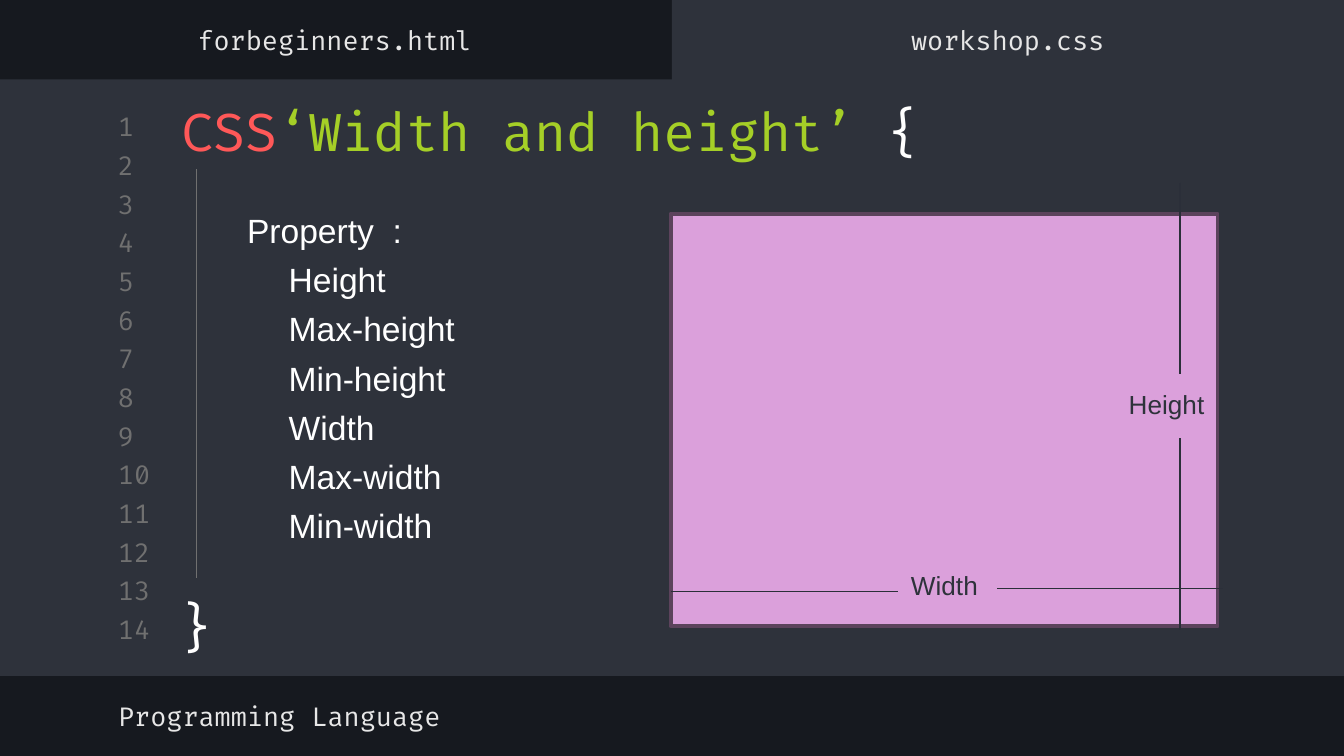
"""Build the CSS width and height slide in a code editor style."""
from dataclasses import dataclass

from lxml.etree import SubElement
from pptx import Presentation
from pptx.dml.color import RGBColor as RGB
from pptx.enum.shapes import MSO_CONNECTOR as LINE, MSO_SHAPE as SHAPE
from pptx.enum.text import MSO_ANCHOR as ANCHOR, PP_ALIGN as ALIGN
from pptx.oxml.ns import qn
from pptx.util import Inches, Pt


@dataclass(frozen=True)
class Theme:
    back: RGB = RGB.from_string("16191F")
    panel: RGB = RGB.from_string("2E323B")
    gray: RGB = RGB.from_string("707070")
    light: RGB = RGB.from_string("E7E7E7")
    white: RGB = RGB.from_string("FFFFFF")
    red: RGB = RGB.from_string("FF5858")
    green: RGB = RGB.from_string("A5CF27")
    pink: RGB = RGB.from_string("DBA0DB")
    plum: RGB = RGB.from_string("5C435C")
    ink: RGB = RGB.from_string("2B2F39")
    code: str = "Fira Code"
    sans: str = "Arial"
    small: Pt = Pt(14)
    body: Pt = Pt(18)
    big: Pt = Pt(28)


theme = Theme()
deck = Presentation()
deck.slide_width, deck.slide_height = Inches(10), Inches(10 * 9 / 16)
slide = deck.slides.add_slide(deck.slide_layouts[6])
slide.background.fill.solid()
slide.background.fill.fore_color.rgb = theme.back


def add_text(box, lines, font, size, color, anchor=ANCHOR.MIDDLE, align=ALIGN.LEFT, pad=0.1, wrap=True):
    frame = slide.shapes.add_textbox(*map(Inches, box)).text_frame
    frame.word_wrap, frame.vertical_anchor = wrap, anchor
    frame.margin_left = frame.margin_right = Inches(0.1)
    frame.margin_top = frame.margin_bottom = Inches(pad)
    frame.text = lines
    for para in frame.paragraphs:
        para.alignment = align
        para.font.name, para.font.size = font, size
        para.font.color.rgb = color
    return frame


def add_line(x1, y1, x2, y2, color):
    line = slide.shapes.add_connector(LINE.STRAIGHT, *map(Inches, (x1, y1, x2, y2)))
    line.line.color.rgb, line.line.width = color, Pt(0.75)
    SubElement(line._element.spPr, qn("a:effectLst"))


for box, fill, edge in (
    ((0, 0.59, 10, 4.44), theme.panel, None),
    ((5, 0, 5, 0.69), theme.panel, None),
    ((4.99, 1.59, 4.07, 3.07), theme.pink, theme.plum),
):
    rect = slide.shapes.add_shape(SHAPE.RECTANGLE, *map(Inches, box))
    rect.shadow.inherit = False
    rect.fill.solid()
    rect.fill.fore_color.rgb = fill
    if edge:
        rect.line.color.rgb, rect.line.width = edge, Pt(2)
    else:
        rect.line.fill.background()

for row in range(14):
    add_text((0.78, 0.82 + row * 3.74 / 13, 0.47, 0.24), str(row + 1), theme.code, theme.small, theme.gray)

title = add_text((1.25, 0.64, 7.97, 0.59), "", theme.code, theme.big, theme.white, ANCHOR.TOP)
for words, color in (("CSS", theme.red), ("‘Width and height’ ", theme.green), ("{", theme.white)):
    run = title.paragraphs[0].add_run()
    run.text, run.font.color.rgb = words, color

props = "Property  :\nHeight\nMax-height\nMin-height\nWidth\nMax-width\nMin-width"
body = add_text((1.74, 1.52, 8.17, 2.88), props, theme.sans, theme.body, theme.white, ANCHOR.TOP, pad=0.04)
for para in body.paragraphs[1:]:
    para.space_before = Pt(4.8)
    para._p.get_or_add_pPr().set("marL", str(Inches(0.31)))

add_text((0.78, 5.13, 5.32, 0.39), "Programming Language", theme.code, theme.small, theme.light)
for left, name in ((-0.01, "forbeginners.html"), (5, "workshop.css")):
    add_text((left, 0.1, 5, 0.39), name, theme.code, theme.small, theme.light, align=ALIGN.CENTER)

add_text((1.19, 4.32, 0.55, 0.67), "}", theme.code, theme.big, theme.white, ANCHOR.TOP, ALIGN.CENTER)
add_line(1.46, 1.26, 1.46, 4.3, theme.gray)

for box, name in (((6.68, 4.19, 0.7, 0.34), "Width"), ((8.3, 2.84, 0.77, 0.34), "Height")):
    add_text(box, name, theme.sans, theme.small, theme.panel, ANCHOR.TOP, pad=0.05, wrap=False)
for ends in ((4.99, 4.4, 6.68, 4.4), (7.42, 4.38, 9.1, 4.38), (8.78, 3.26, 8.78, 4.69), (8.78, 1.36, 8.78, 2.78)):
    add_line(*ends, theme.ink)

deck.save("out.pptx")
